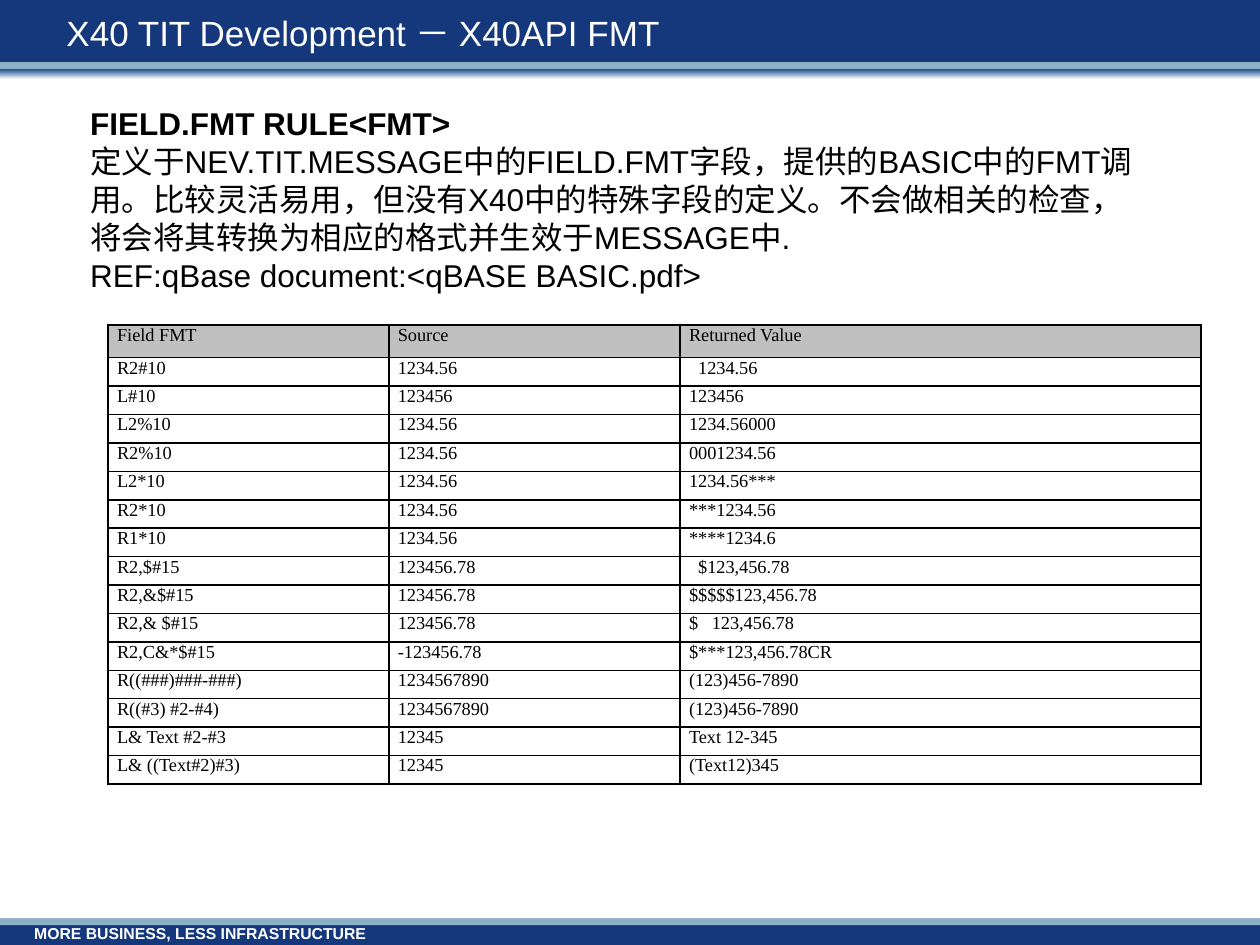
from lxml import etree
from pptx import Presentation
from pptx import util as u
from pptx.dml import color
from pptx.enum import shapes, text
from pptx.oxml import ns

NAVY, STEEL, WHITE, BLACK = "15387D", "8DB1C7", "FFFFFF", "000000"
WIDTH, HEIGHT = 25.4, 19.05
HEADERS = ["Field FMT", "Source", "Returned Value"]
ROWS = [
    ["R2#10", "1234.56", "  1234.56"],
    ["L#10", "123456", "123456"],
    ["L2%10", "1234.56", "1234.56000"],
    ["R2%10", "1234.56", "0001234.56"],
    ["L2*10", "1234.56", "1234.56***"],
    ["R2*10", "1234.56", "***1234.56"],
    ["R1*10", "1234.56", "****1234.6"],
    ["R2,$#15", "123456.78", "  $123,456.78"],
    ["R2,&$#15", "123456.78", "$$$$$123,456.78"],
    ["R2,& $#15", "123456.78", "$   123,456.78"],
    ["R2,C&*$#15", "-123456.78", "$***123,456.78CR"],
    ["R((###)###-###)", "1234567890", "(123)456-7890"],
    ["R((#3) #2-#4)", "1234567890", "(123)456-7890"],
    ["L& Text #2-#3", "12345", "Text 12-345"],
    ["L& ((Text#2)#3)", "12345", "(Text12)345"],
]


def rgb(value):
    """Turn a hex string into a colour."""
    return color.RGBColor.from_string(value)


def write(p, content, size=18, font="Arial", fill=BLACK, bold=False, align=None):
    """Write formatted text into a paragraph."""
    r = p.add_run()
    r.text = content
    r.font.size, r.font.name, r.font.bold = u.Pt(size), font, bold
    r.font.color.rgb = rgb(fill)
    p.alignment = align


def add_band(s, x, y, w, h, fill, end=None):
    """Add a plain band, or one fading down to an end colour."""
    sp = s.shapes.add_shape(shapes.MSO_SHAPE.RECTANGLE, *map(u.Cm, (x, y, w, h)))
    sp.shadow.inherit = False
    sp.line.fill.background()
    if end:
        sp.fill.gradient()
        sp.fill.gradient_angle = 270
        for stop, value in zip(sp.fill.gradient_stops, (fill, end)):
            stop.color.rgb = rgb(value)
    else:
        sp.fill.solid()
        sp.fill.fore_color.rgb = rgb(fill)
    return sp


def add_box(s, x, y, w, h, anchor=text.MSO_ANCHOR.TOP):
    """Add a wrapping text box and return its frame."""
    tf = s.shapes.add_textbox(*map(u.Cm, (x, y, w, h))).text_frame
    tf.word_wrap = True
    tf.vertical_anchor = anchor
    return tf


def add_header(s, x, y, w):
    """Add the title band with its two stripes."""
    add_band(s, x, y, w, 1.27, NAVY)
    stripe = add_band(s, x, y + 1.27, w, 0.2, STEEL)
    stripe.line.color.rgb = rgb(STEEL)
    stripe.line.width = u.Pt(0.75)
    add_band(s, x, y + 1.4, w, 0.2, "1C5390", WHITE)
    tf = add_box(s, x + 1.09, y + 0.2, 19.89, 0.91, text.MSO_ANCHOR.MIDDLE)
    write(tf.paragraphs[0], "X40 TIT Development － X40API FMT", size=20, fill=WHITE)


def add_footer(s, x, y, w):
    """Add the bottom band with its slogan."""
    add_band(s, x, y, w, 0.53, NAVY)
    add_band(s, x, y, w, 0.13, STEEL)
    tf = add_box(s, x + 0.69, y - 0.03, 17.81, 0.66, text.MSO_ANCHOR.MIDDLE)
    tf.margin_left = tf.margin_right = tf.margin_top = tf.margin_bottom = 0
    write(tf.paragraphs[0], "MORE BUSINESS, LESS INFRASTRUCTURE", size=9, fill=WHITE, bold=True)


def add_intro(s, x, y, w, h):
    """Add the heading and the explanation of the rule."""
    tf = add_box(s, x, y, w, h)
    write(tf.paragraphs[0], "FIELD.FMT RULE<FMT>", bold=True)
    write(tf.add_paragraph(),
          "定义于NEV.TIT.MESSAGE中的FIELD.FMT字段，提供的BASIC中的FMT调用。"
          "比较灵活易用，但没有X40中的特殊字段的定义。不会做相关的检查，"
          "将会将其转换为相应的格式并生效于MESSAGE中.")
    write(tf.add_paragraph(), "REF:qBase document:<qBASE BASIC.pdf>")


def add_borders(cell):
    """Draw a thin black line on each side of a cell."""
    tcPr = cell._tc.get_or_add_tcPr()
    for i, side in enumerate(("lnL", "lnR", "lnT", "lnB")):
        ln = etree.Element(ns.qn("a:" + side), w=str(u.Pt(1)))
        fill = etree.SubElement(ln, ns.qn("a:solidFill"))
        etree.SubElement(fill, ns.qn("a:srgbClr"), val=BLACK)
        tcPr.insert(i, ln)


def add_formats(s, x, y, w, h):
    """Add the table of formats and returned values."""
    data = [HEADERS] + ROWS
    header_h = 0.66
    row_h = (h - header_h) / len(ROWS)
    table = s.shapes.add_table(len(data), len(HEADERS), *map(u.Cm, (x, y, w, h))).table
    table.horz_banding = False
    for column, width in zip(table.columns, (5.66, 5.87, w - 5.66 - 5.87)):
        column.width = u.Cm(width)
    for i, values in enumerate(data):
        table.rows[i].height = u.Cm(row_h if i else header_h)
        for j, value in enumerate(values):
            cell = table.cell(i, j)
            cell.margin_left = cell.margin_right = u.Cm(0.18)
            cell.margin_top = cell.margin_bottom = 0
            if i:
                cell.fill.background()
            else:
                cell.fill.solid()
                cell.fill.fore_color.rgb = rgb("C0C0C0")
            add_borders(cell)
            write(cell.text_frame.paragraphs[0], value, size=10.5,
                  font="Times New Roman", align=text.PP_ALIGN.JUSTIFY)


def build():
    """Build the slide and save it."""
    prs = Presentation()
    prs.slide_width, prs.slide_height = u.Cm(WIDTH), u.Cm(HEIGHT)
    s = prs.slides.add_slide(prs.slide_layouts[6])
    add_header(s, 0, 0, WIDTH)
    add_footer(s, 0, HEIGHT - 0.53, WIDTH)
    add_intro(s, 1.57, 1.98, 21.82, 4.11)
    add_formats(s, 2.18, 6.55, 22.03, 9.27)
    prs.save("out.pptx")


build()
